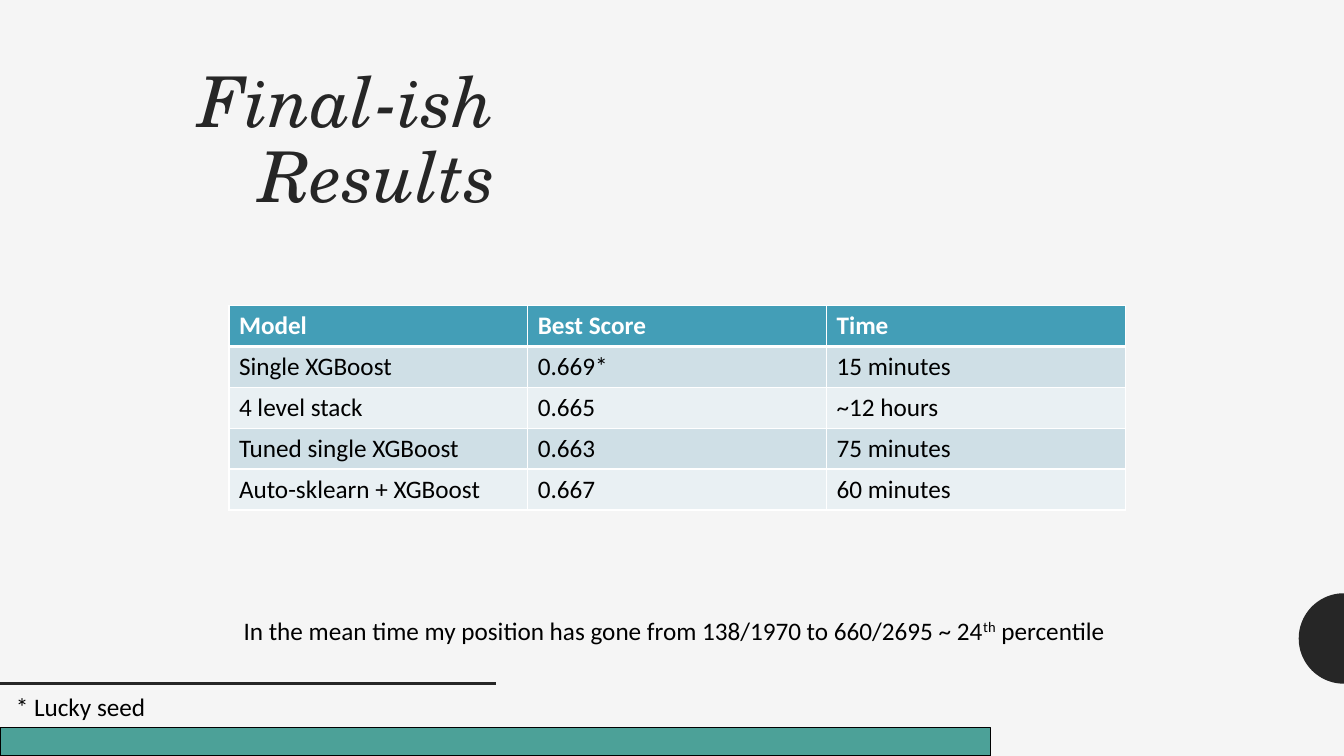
from dataclasses import dataclass
from math import cos, pi, sin
from lxml import etree
from pptx import Presentation
from pptx import util as u
from pptx.dml.color import RGBColor
from pptx.enum import shapes, text
from pptx.oxml import ns


@dataclass(frozen=True)
class Theme:
    back: str = "F5F5F5"
    dark: str = "262626"
    black: str = "000000"
    white: str = "FFFFFF"
    teal: str = "4CA198"
    head: str = "439EB7"
    bands: tuple = ("CFDFE6", "E9F0F3")
    serif: str = "TeX Gyre Schola"
    sans: str = "Calibri"
    big: int = 50
    small: int = 18


look = Theme()
rgb = RGBColor.from_string


def write(para, words, size=look.small, color=look.black, face=look.sans,
          bold=False, slant=False, raised=0):
    run = para.add_run()
    run.text = words
    font = run.font
    font.size, font.name = u.Pt(size), face
    font.bold, font.italic = bold, slant
    font.color.rgb = rgb(color)
    if raised:
        font._element.set("baseline", str(raised * 1000))


def edge(cell, side, width):
    line = etree.SubElement(cell._tc.get_or_add_tcPr(), ns.qn(f"a:ln{side}"), w=str(u.Pt(width)))
    fill = etree.SubElement(line, ns.qn("a:solidFill"))
    etree.SubElement(fill, ns.qn("a:srgbClr"), val=look.white)


deck = Presentation()
deck.slide_width, deck.slide_height = u.Cm(33.87), u.Cm(19.05)
slide = deck.slides.add_slide(deck.slide_layouts[5])
slide.background.fill.solid()
slide.background.fill.fore_color.rgb = rgb(look.back)
items = slide.shapes

mid, high, round_by, steps = 33.87, 16.09, 1.14, 48
arc = []
for step in range(steps + 1):
    turn = pi * step / steps
    arc.append((u.Cm(mid - round_by * sin(turn)), u.Cm(high - round_by * cos(turn))))
path = items.build_freeform(*arc[0], scale=1.0)
path.add_line_segments(arc[1:], close=True)
disc = path.convert_to_shape()
disc.shadow.inherit = False
disc.fill.solid()
disc.fill.fore_color.rgb = rgb(look.dark)
disc.line.fill.background()

rule = items.add_connector(shapes.MSO_CONNECTOR.STRAIGHT, 0, u.Cm(17.22), u.Cm(12.5), u.Cm(17.22))
rule.line.color.rgb = rgb(look.dark)
rule.line.width = u.Pt(2)
etree.SubElement(rule._element.spPr, ns.qn("a:effectLst"))

title = items.title
title.left, title.top, title.width, title.height = u.Cm(2.11), u.Cm(1.55), u.Cm(10.64), u.Cm(13.77)
frame = title.text_frame
frame.word_wrap = True
frame.auto_size = text.MSO_AUTO_SIZE.NONE
frame.vertical_anchor = text.MSO_ANCHOR.TOP
para = frame.paragraphs[0]
para.alignment = text.PP_ALIGN.RIGHT
para.line_spacing = 0.9
write(para, "Final-ish Results", size=look.big, color=look.dark, face=look.serif, slant=True)

bar = items.add_shape(shapes.MSO_SHAPE.RECTANGLE, 0, u.Cm(18.34), u.Cm(24.97), u.Cm(0.71))
bar.shadow.inherit = False
bar.fill.solid()
bar.fill.fore_color.rgb = rgb(look.teal)
bar.line.color.rgb = rgb(look.black)
bar.line.width = u.Pt(1)

scores = [
    ("Model", "Best Score", "Time"),
    ("Single XGBoost", "0.669*", "15 minutes"),
    ("4 level stack", "0.665", "~12 hours"),
    ("Tuned single XGBoost", "0.663", "75 minutes"),
    ("Auto-sklearn + XGBoost", "0.667", "60 minutes"),
]
grid = items.add_table(len(scores), 3, u.Cm(5.77), u.Cm(7.7), u.Cm(22.59), u.Cm(5.15)).table
for col in grid.columns:
    col.width = u.Cm(7.53)
for r, row in enumerate(scores):
    grid.rows[r].height = u.Cm(1.03)
    top = r == 0
    for c, words in enumerate(row):
        cell = grid.cell(r, c)
        for side in "LRTB":
            thick = (top and side == "B") or (r == 1 and side == "T")
            edge(cell, side, 3 if thick else 1)
        cell.fill.solid()
        cell.fill.fore_color.rgb = rgb(look.head if top else look.bands[(r - 1) % 2])
        write(cell.text_frame.paragraphs[0], words, bold=top,
              color=look.white if top else look.black)

notes = [
    (0.15, 17.3, 3.91, [("* Lucky seed", 0)]),
    (5.89, 15.37, 22.33, [
        ("In the mean time my position has gone from 138/1970 to 660/2695 ~ 24", 0),
        ("th", 30),
        (" percentile", 0),
    ]),
]
for left, top, width, parts in notes:
    frame = items.add_textbox(u.Cm(left), u.Cm(top), u.Cm(width), u.Cm(1.02)).text_frame
    frame.word_wrap = False
    frame.auto_size = text.MSO_AUTO_SIZE.SHAPE_TO_FIT_TEXT
    for words, raised in parts:
        write(frame.paragraphs[0], words, raised=raised)

deck.save("out.pptx")
